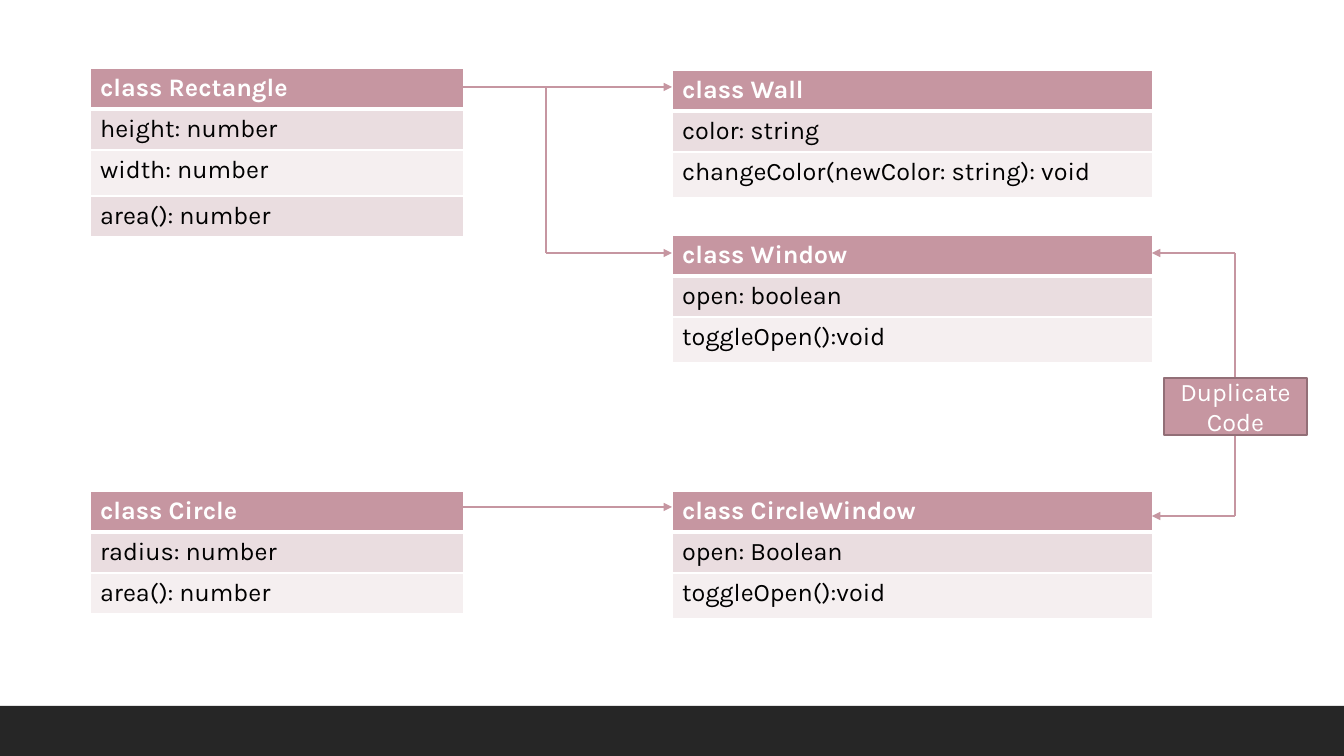
from dataclasses import dataclass
from lxml import etree
from pptx import Presentation
from pptx import util as u
from pptx.dml.color import RGBColor
from pptx.enum import shapes, text
from pptx.oxml import ns


@dataclass(frozen=True)
class Theme:
    font: str = "Karla"
    size: int = 18
    rose: str = "C696A1"
    bands: tuple = ("EADDE0", "F5EFF0")
    outline: str = "926F77"
    footer: str = "262626"
    white: str = "FFFFFF"
    black: str = "000000"


theme = Theme()
SLIDE_WIDTH, SLIDE_HEIGHT, FOOTER_HEIGHT = 1344, 756, 50
ROW, TALL_ROW = 41, 46
BASES, USERS = (90, 374), (672, 481)

CLASSES = [
    (BASES, 68, ["class Rectangle", "height: number", "width: number", "area(): number"], 2),
    (USERS, 70, ["class Wall", "color: string", "changeColor(newColor: string): void"], 2),
    (USERS, 235, ["class Window", "open: boolean", "toggleOpen():void"], 2),
    (BASES, 491, ["class Circle", "radius: number", "area(): number"], None),
    (USERS, 491, ["class CircleWindow", "open: Boolean", "toggleOpen():void"], 2),
]
BASE_EDGE, USER_LEFT, USER_RIGHT = 463, 672, 1152
FORK, DUPLICATE = 546, 1235
WALL, WINDOW, CIRCLE, CIRCLE_WINDOW = 87, 253, 507, 516
LINES = [
    ((BASE_EDGE, WALL), (USER_LEFT, WALL), True),
    ((FORK, WALL), (FORK, WINDOW), False),
    ((FORK, WINDOW), (USER_LEFT, WINDOW), True),
    ((BASE_EDGE, CIRCLE), (USER_LEFT, CIRCLE), True),
    ((DUPLICATE, WINDOW), (DUPLICATE, CIRCLE_WINDOW), False),
    ((DUPLICATE, WINDOW), (USER_RIGHT, WINDOW), True),
    ((DUPLICATE, CIRCLE_WINDOW), (USER_RIGHT, CIRCLE_WINDOW), True),
]
LABEL = ("Duplicate Code", (1164, 378, 143, 57))


def px(*values):
    return [u.Emu(round(value * 914400 / 100.8)) for value in values]


def paint(fill, color):
    fill.solid()
    fill.fore_color.rgb = RGBColor.from_string(color)


def style(paragraph, color, bold=False):
    font = paragraph.font
    font.name, font.size, font.bold = theme.font, u.Pt(theme.size), bold
    font.color.rgb = RGBColor.from_string(color)


def add_borders(cell, bottom):
    properties = cell._tc.get_or_add_tcPr()
    for index, side in enumerate(("lnL", "lnR", "lnT", "lnB")):
        width = bottom if side == "lnB" else 1
        border = etree.Element(ns.qn(f"a:{side}"), w=str(u.Pt(width)))
        fill = etree.SubElement(border, ns.qn("a:solidFill"))
        etree.SubElement(fill, ns.qn("a:srgbClr"), val=theme.white)
        properties.insert(index, border)


def add_class(slide, column, top, members, tall):
    left, width = column
    heights = [TALL_ROW if index == tall else ROW for index in range(len(members))]
    frame = slide.shapes.add_table(len(members), 1, *px(left, top, width, sum(heights)))
    table = frame.table
    for index, (member, height) in enumerate(zip(members, heights)):
        header = index == 0
        table.rows[index].height = px(height)[0]
        cell = table.cell(index, 0)
        cell.text = member
        style(cell.text_frame.paragraphs[0], theme.white if header else theme.black, header)
        paint(cell.fill, theme.rose if header else theme.bands[(index - 1) % 2])
        add_borders(cell, 3 if header else 1)


def add_line(slide, start, end, arrow):
    line = slide.shapes.add_connector(shapes.MSO_CONNECTOR.STRAIGHT, *px(*start, *end))
    line.line.width = u.Pt(1)
    paint(line.line.fill, theme.rose)
    if arrow:
        etree.SubElement(line.line._get_or_add_ln(), ns.qn("a:tailEnd"), type="triangle")
    etree.SubElement(line._element.spPr, ns.qn("a:effectLst"))


def add_box(slide, bounds, color, outline=None):
    box = slide.shapes.add_shape(shapes.MSO_SHAPE.RECTANGLE, *px(*bounds))
    box.shadow.inherit = False
    paint(box.fill, color)
    if outline:
        paint(box.line.fill, outline)
        box.line.width = u.Pt(1.25)
    else:
        box.line.fill.background()
    return box


presentation = Presentation()
presentation.slide_width, presentation.slide_height = px(SLIDE_WIDTH, SLIDE_HEIGHT)
slide = presentation.slides.add_slide(presentation.slide_layouts[6])

add_box(slide, (0, SLIDE_HEIGHT - FOOTER_HEIGHT, SLIDE_WIDTH, FOOTER_HEIGHT), theme.footer)
for entry in CLASSES:
    add_class(slide, *entry)
for entry in LINES:
    add_line(slide, *entry)

wording, bounds = LABEL
label = add_box(slide, bounds, theme.rose, theme.outline)
label.text_frame.text = wording
label.text_frame.word_wrap = True
label.text_frame.vertical_anchor = text.MSO_ANCHOR.MIDDLE
paragraph = label.text_frame.paragraphs[0]
paragraph.alignment = text.PP_ALIGN.CENTER
style(paragraph, theme.white)

presentation.save("out.pptx")
